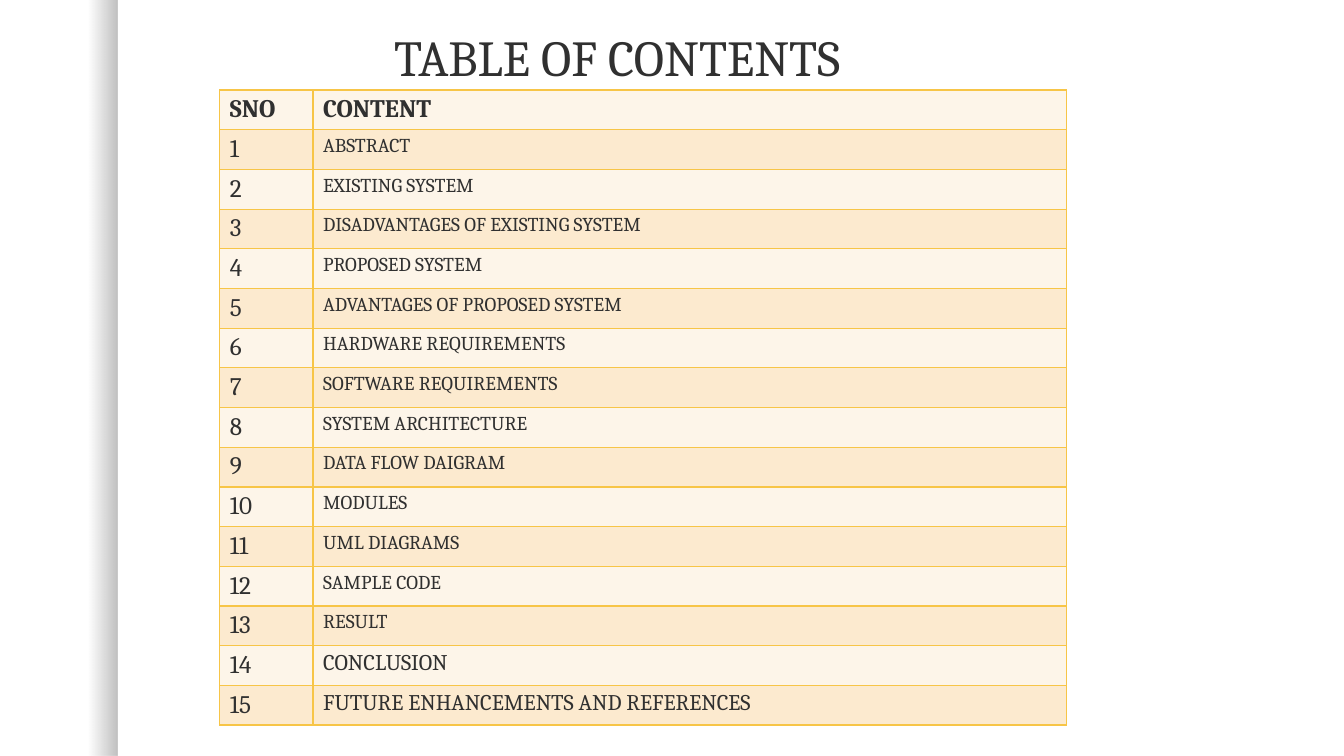
from lxml import etree
from pptx import Presentation
from pptx.dml.color import RGBColor
from pptx.enum.shapes import MSO_SHAPE
from pptx.enum.text import MSO_AUTO_SIZE, PP_ALIGN
from pptx.oxml.ns import qn
from pptx.util import Cm, Pt

FONT = "Cambria"
COLORS = {
    "text": "303030",
    "light_row": "FDF5E9",
    "dark_row": "FCEACF",
    "border": "F7C547",
    "shade": "000000",
}
TOPICS = [
    "ABSTRACT",
    "EXISTING SYSTEM",
    "DISADVANTAGES OF EXISTING SYSTEM",
    "PROPOSED SYSTEM",
    "ADVANTAGES OF PROPOSED SYSTEM",
    "HARDWARE REQUIREMENTS",
    "SOFTWARE REQUIREMENTS",
    "SYSTEM ARCHITECTURE",
    "DATA FLOW DAIGRAM",
    "MODULES",
    "UML DIAGRAMS",
    "SAMPLE CODE",
    "RESULT",
    "CONCLUSION",
    "FUTURE ENHANCEMENTS AND REFERENCES",
]


def format_text(paragraph, size, bold=False):
    for run in paragraph.runs:
        run.font.name = FONT
        run.font.size = Pt(size)
        run.font.bold = bold
        run.font.color.rgb = RGBColor.from_string(COLORS["text"])


def add_borders(cell):
    properties = cell._tc.get_or_add_tcPr()
    for position, side in enumerate(("lnL", "lnR", "lnT", "lnB")):
        line = etree.Element(qn(f"a:{side}"), w=str(Pt(1)))
        fill = etree.SubElement(line, qn("a:solidFill"))
        etree.SubElement(fill, qn("a:srgbClr"), val=COLORS["border"])
        properties.insert(position, line)


presentation = Presentation()
presentation.slide_width = Cm(33.87)
presentation.slide_height = Cm(19.05)
slide = presentation.slides.add_slide(presentation.slide_layouts[6])

# Shaded left edge
edge = slide.shapes.add_shape(MSO_SHAPE.RECTANGLE, 0, 0, Cm(2.96), Cm(19.05))
edge.shadow.inherit = False
edge.line.fill.background()
edge.fill.gradient()
edge.fill.gradient_angle = 0
for stop, position, opacity in zip(edge.fill.gradient_stops, (0.75, 1), (0, 25)):
    stop.position = position
    stop.color.rgb = RGBColor.from_string(COLORS["shade"])
    color = stop.color._xFill.find(qn("a:srgbClr"))
    etree.SubElement(color, qn("a:alpha"), val=str(opacity * 1000))

# Contents table
rows = [("SNO", "CONTENT")]
rows += [(str(number), topic) for number, topic in enumerate(TOPICS, 1)]
frame = slide.shapes.add_table(
    len(rows), 2, Cm(5.54), Cm(2.27), Cm(21.34), Cm(len(rows))
)
table = frame.table
table.columns[0].width = Cm(2.35)
table.columns[1].width = Cm(18.99)
for row_index, texts in enumerate(rows):
    table.rows[row_index].height = Cm(1)
    is_header = row_index == 0
    topic_size = 18 if is_header else 14 if row_index < 14 else 16
    row_color = COLORS["dark_row" if row_index % 2 else "light_row"]
    for cell, text, size in zip(table.rows[row_index].cells, texts, (18, topic_size)):
        cell.text_frame.text = text
        format_text(cell.text_frame.paragraphs[0], size, is_header)
        cell.fill.solid()
        cell.fill.fore_color.rgb = RGBColor.from_string(row_color)
        add_borders(cell)

# Title
title = slide.shapes.add_textbox(Cm(9.32), Cm(0.53), Cm(12.47), Cm(1.8))
title.text_frame.word_wrap = False
title.text_frame.auto_size = MSO_AUTO_SIZE.SHAPE_TO_FIT_TEXT
title.text_frame.text = "TABLE OF CONTENTS"
paragraph = title.text_frame.paragraphs[0]
paragraph.alignment = PP_ALIGN.CENTER
format_text(paragraph, 36)

presentation.save("out.pptx")
